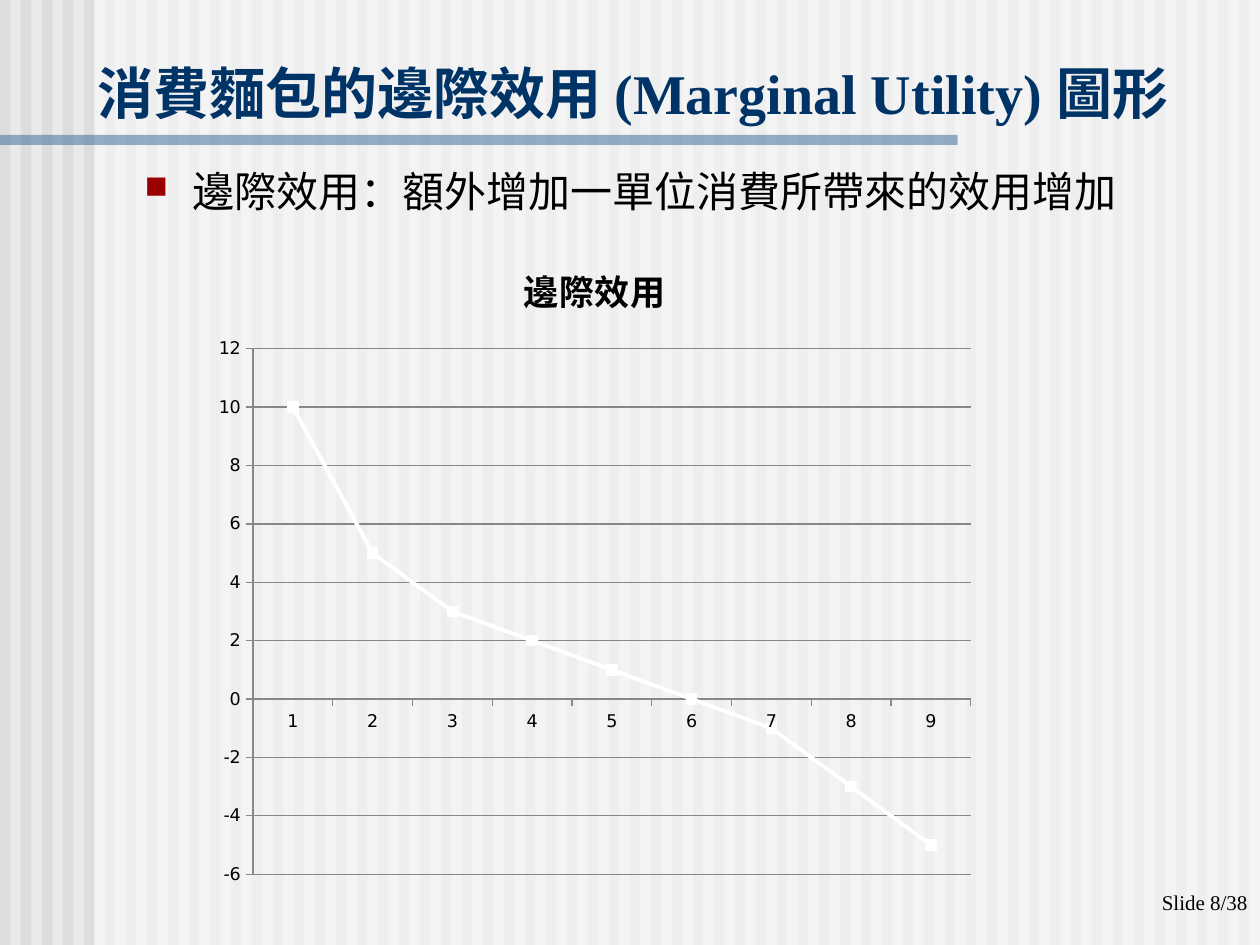
from dataclasses import dataclass

from lxml.etree import SubElement
from pptx import Presentation
from pptx.chart.data import CategoryChartData
from pptx.dml.color import RGBColor
from pptx.enum.chart import XL_CHART_TYPE, XL_MARKER_STYLE, XL_TICK_MARK
from pptx.enum.shapes import MSO_SHAPE
from pptx.enum.text import MSO_ANCHOR, MSO_AUTO_SIZE, PP_ALIGN
from pptx.oxml import parse_xml
from pptx.oxml.ns import nsdecls, qn
from pptx.util import Inches, Pt


@dataclass(frozen=True)
class Theme:
    back: str = "EAEAEA"
    stripe: str = "DDDDDD"
    white: str = "FFFFFF"
    rule: str = "336699"
    title: str = "003366"
    ink: str = "000000"
    bullet: str = "9A0000"
    grid: str = "878787"
    serif: str = "Times New Roman"
    han: str = "Noto Sans CJK SC"
    sans: str = "DejaVu Sans"
    head: int = 32
    body: int = 24
    label: int = 20
    foot: int = 12
    tick: int = 10


THEME = Theme()
WIDE, HIGH = 10, 7.5
STEP = WIDE / 60


def color(code):
    return RGBColor.from_string(code)


def style(font, face, size, code, bold=False):
    font.name = face
    font.size = Pt(size)
    font.bold = bold
    font.color.rgb = color(code)


def place(shape, box):
    shape.left, shape.top, shape.width, shape.height = map(Inches, box)


def add_bar(group, box, code, alpha=None):
    bar = group.shapes.add_shape(MSO_SHAPE.RECTANGLE, *map(Inches, box))
    bar.shadow.inherit = False
    bar.fill.solid()
    bar.fill.fore_color.rgb = color(code)
    bar.line.fill.background()
    if alpha:
        tint = bar._element.spPr.find(".//" + qn("a:srgbClr"))
        SubElement(tint, qn("a:alpha")).set("val", str(alpha * 1000))


def add_back(slide):
    slide.background.fill.solid()
    slide.background.fill.fore_color.rgb = color(THEME.back)
    group = slide.shapes.add_group_shape()
    for col in range(60):
        add_bar(group, (col * STEP, 0, STEP / 2, HIGH), THEME.stripe)
    add_bar(group, (0.75, 0, WIDE - 0.75, HIGH), THEME.white, 50)
    add_bar(group, (0, 1.07, 7.6, 0.08), THEME.rule, 50)


def set_text(shape, box, text, face, size, code, bold=False):
    place(shape, box)
    frame = shape.text_frame
    frame.text = text
    frame.auto_size = MSO_AUTO_SIZE.NONE
    frame.word_wrap = True
    para = frame.paragraphs[0]
    for run in para.runs:
        style(run.font, face, size, code, bold)
        SubElement(run.font._element, qn("a:ea")).set("typeface", THEME.han)
    return para


def add_title(slide, text):
    title = slide.shapes.title
    slide.shapes._spTree.append(title._element)
    para = set_text(title, (0.67, 0.41, 8.93, 0.64), text,
                    THEME.serif, THEME.head, THEME.title, True)
    para.alignment = PP_ALIGN.LEFT
    title.text_frame.vertical_anchor = MSO_ANCHOR.BOTTOM
    title.text_frame.word_wrap = False


def add_text(slide, box, text, face, size):
    shape = slide.shapes.add_textbox(0, 0, 0, 0)
    return set_text(shape, box, text, face, size, THEME.ink)


def add_bullet(para):
    props = para._p.get_or_add_pPr()
    props.set("marL", str(Inches(0.38)))
    props.set("indent", str(-Inches(0.38)))
    paint = SubElement(props, qn("a:buClr"))
    SubElement(paint, qn("a:srgbClr")).set("val", THEME.bullet)
    SubElement(props, qn("a:buSzPct")).set("val", "75000")
    SubElement(props, qn("a:buChar")).set("char", "■")
    para.line_spacing = 0.9


def set_plot(chart, x, y, w, h):
    area = chart._chartSpace.chart.plotArea
    for old in area.findall(qn("c:layout")):
        area.remove(old)
    area.insert(0, parse_xml(
        f'<c:layout {nsdecls("c")}><c:manualLayout>'
        '<c:layoutTarget val="inner"/><c:xMode val="edge"/><c:yMode val="edge"/>'
        f'<c:x val="{x}"/><c:y val="{y}"/><c:w val="{w}"/><c:h val="{h}"/>'
        '</c:manualLayout></c:layout>'))


def set_axis(axis):
    axis.major_tick_mark = XL_TICK_MARK.OUTSIDE
    axis.minor_tick_mark = XL_TICK_MARK.NONE
    axis.format.line.color.rgb = color(THEME.grid)
    axis.format.line.width = Pt(0.75)
    style(axis.tick_labels.font, THEME.sans, THEME.tick, THEME.ink)


def add_chart(slide, box, title, values):
    data = CategoryChartData()
    data.categories = [str(n + 1) for n in range(len(values))]
    data.add_series("Series 1", values)
    chart = slide.shapes.add_chart(
        XL_CHART_TYPE.LINE_MARKERS, *map(Inches, box), data).chart
    chart.has_legend = False
    style(chart.font, THEME.sans, THEME.tick, THEME.ink)
    chart.has_title = True
    chart.chart_title.include_in_layout = False
    frame = chart.chart_title.text_frame
    frame.text = title
    font = frame.paragraphs[0].runs[0].font
    style(font, THEME.han, THEME.label, THEME.ink, True)
    SubElement(font._element, qn("a:ea")).set("typeface", THEME.han)
    set_plot(chart, 0.064, 0.172, 0.916, 0.79)
    set_axis(chart.category_axis)
    axis = chart.value_axis
    set_axis(axis)
    axis.minimum_scale, axis.maximum_scale, axis.major_unit = -6, 12, 2
    axis.has_major_gridlines = True
    axis.major_gridlines.format.line.color.rgb = color(THEME.grid)
    axis.major_gridlines.format.line.width = Pt(0.75)
    plot = chart.plots[0]
    plot.vary_by_categories = False
    line = plot.series[0]
    line.smooth = False
    line.format.line.color.rgb = color(THEME.white)
    line.format.line.width = Pt(2.25)
    line.marker.style = XL_MARKER_STYLE.SQUARE
    line.marker.size = 6
    line.marker.format.fill.solid()
    line.marker.format.fill.fore_color.rgb = color(THEME.white)
    line.marker.format.line.color.rgb = color(THEME.white)


def main():
    deck = Presentation()
    deck.slide_width, deck.slide_height = Inches(WIDE), Inches(HIGH)
    slide = deck.slides.add_slide(deck.slide_layouts[5])
    add_back(slide)
    add_title(slide, "消費麵包的邊際效用 (Marginal Utility) 圖形")
    add_bullet(add_text(slide, (1.05, 1.31, 8.17, 0.55),
                        "邊際效用：額外增加一單位消費所帶來的效用增加",
                        THEME.han, THEME.body))
    add_chart(slide, (1.61, 1.86, 6.22, 5.28), "邊際效用",
              (10, 5, 3, 2, 1, 0, -1, -3, -5))
    foot = add_text(slide, (7.92, 7.01, 2.08, 0.5), "Slide 8/38",
                    THEME.serif, THEME.foot)
    foot.alignment = PP_ALIGN.RIGHT
    deck.save("out.pptx")


if __name__ == "__main__":
    main()
